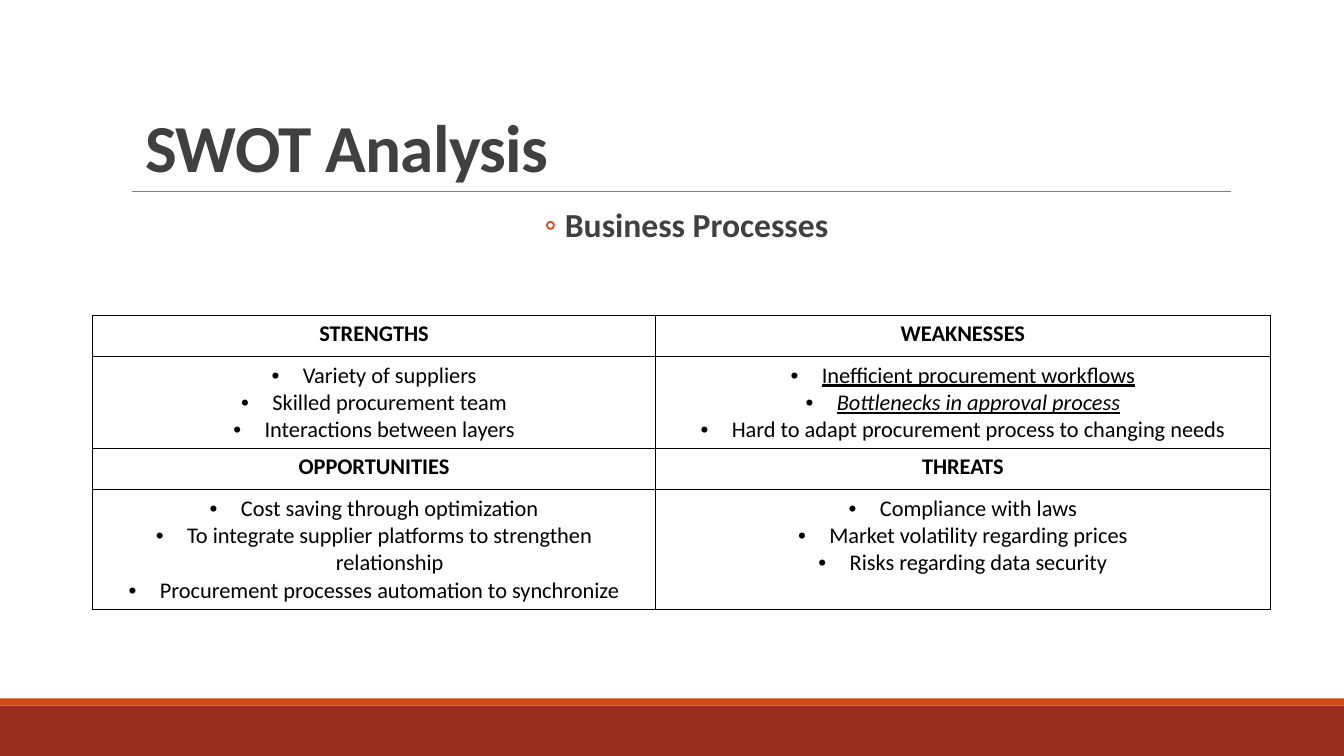
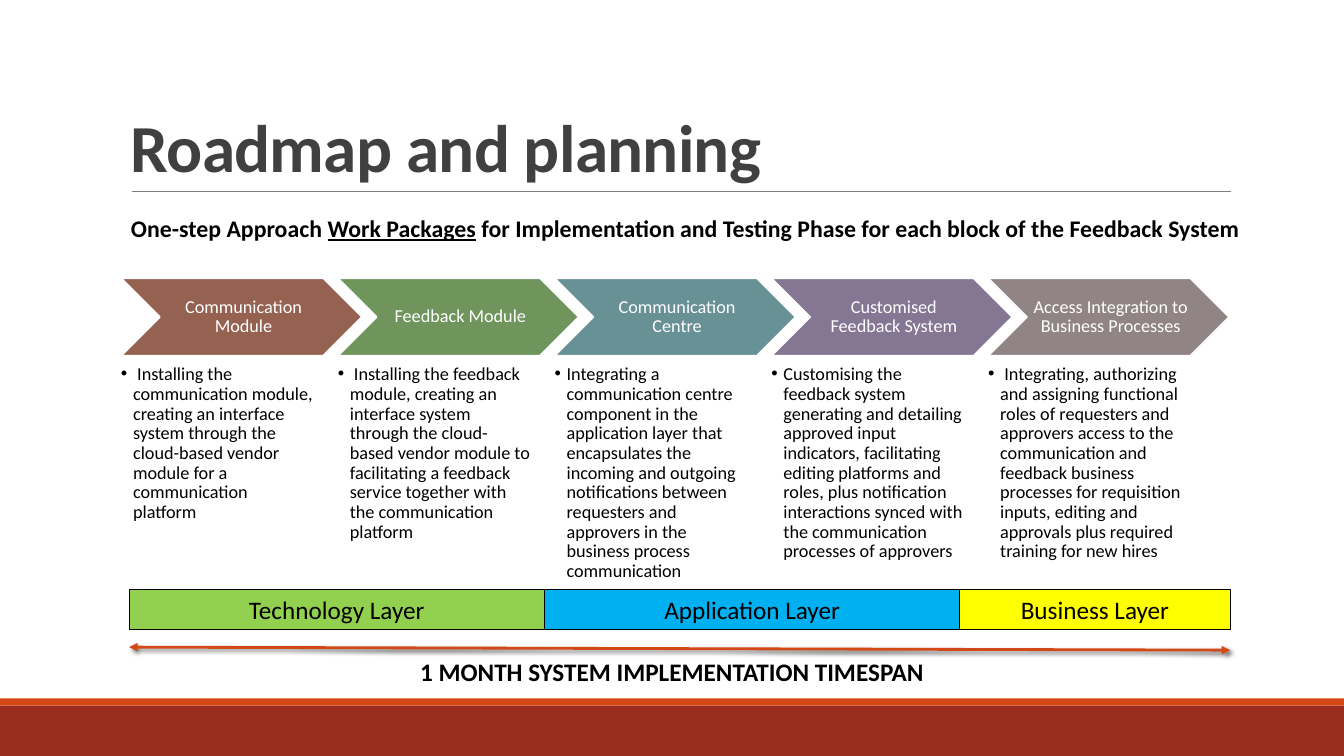
import itertools

import lxml.etree
import pptx
import pptx.dml.color
import pptx.enum.shapes
import pptx.enum.text
import pptx.oxml
import pptx.oxml.ns
import pptx.util

Inches = pptx.util.Inches
Pt = pptx.util.Pt
SHAPES = pptx.enum.shapes.MSO_SHAPE
STRAIGHT = pptx.enum.shapes.MSO_CONNECTOR.STRAIGHT
CENTER = pptx.enum.text.PP_ALIGN.CENTER
ANCHOR = pptx.enum.text.MSO_ANCHOR

# Shared look
FONT = "Calibri"
BLACK, WHITE, GREY = "000000", "FFFFFF", "404040"
ORANGE, BRICK, RULE = "D34817", "9B2D1F", "808080"
SLIDE_WIDTH, SLIDE_HEIGHT = 13.33, 7.5
BANDS = [(7, 0.5, BRICK), (6.93, 0.07, ORANGE)]

# Content of the SWOT slide
SWOT_TITLE = " SWOT Analysis"
SWOT_SUBTITLE = "Business Processes"
SWOT = [
    [("STRENGTHS", ["Variety of suppliers", "Skilled procurement team",
                    "Interactions between layers"]),
     ("WEAKNESSES", ["Inefficient procurement workflows", "Bottlenecks in approval process",
                     "Hard to adapt procurement process to changing needs"])],
    [("OPPORTUNITIES", ["Cost saving through optimization",
                        "To integrate supplier platforms to strengthen relationship",
                        "Procurement processes automation to synchronize"]),
     ("THREATS", ["Compliance with laws", "Market volatility regarding prices",
                  "Risks regarding data security"])],
]
EMPHASIS = {
    "Inefficient procurement workflows": {"underline": True},
    "Bottlenecks in approval process": {"underline": True, "italic": True},
}
COLUMN_WIDTHS = [5.58, 6.1]
ROW_HEIGHTS = [0.41, 0.91, 0.41, 1.19]

# Content of the roadmap slide
ROADMAP_TITLE = "Roadmap and planning"
ROADMAP_HEADING = [
    ("One-step Approach ", {}),
    ("Work Packages", {"underline": True}),
    (" for Implementation and Testing Phase for each block of the Feedback System", {}),
]
PACKAGES = [
    ("Communication Module", "956251",
     " Installing the communication module, creating an interface system through the "
     "cloud-based vendor module for a communication platform"),
    ("Feedback Module", "6F955C",
     " Installing the feedback module, creating an interface system through the "
     "cloud-based vendor module to facilitating a feedback service together with the "
     "communication platform"),
    ("Communication Centre", "689195",
     "Integrating a communication centre component in the application layer that "
     "encapsulates the incoming and outgoing notifications between requesters and "
     "approvers in the business process communication"),
    ("Customised Feedback System", "857693",
     "Customising the feedback system generating and detailing approved input "
     "indicators, facilitating editing platforms and roles, plus notification "
     "interactions synced with the communication processes of approvers"),
    ("Access Integration to Business Processes", "918485",
     " Integrating, authorizing and assigning functional roles of requesters and "
     "approvers access to the communication and feedback business processes for "
     "requisition inputs, editing and approvals plus required training for new hires"),
]
PACKAGE_LEFT, PACKAGE_PITCH = 1.2, 2.15
LAYERS = [("Technology Layer", 4.12, "92D050"), ("Application Layer", 4.12, "00B0F0"),
          ("Business Layer", 2.68, "FFFF00")]
LAYER_LEFT = 1.28
TIMESPAN = "1 MONTH SYSTEM IMPLEMENTATION TIMESPAN"


def color(value):
    return pptx.dml.color.RGBColor.from_string(value)


def set_all(target, values):
    for name, value in values.items():
        setattr(target, name, value)


def add_xml(parent, tag, **attributes):
    child = lxml.etree.SubElement(parent, pptx.oxml.ns.qn(tag))
    for name, value in attributes.items():
        child.set(name, str(value))
    return child


def write(frame, paragraphs, size, ink=BLACK, bold=False, layout=None, bullet=None):
    """Fill a frame; each paragraph is a string or a list of (text, format) runs."""
    frame.word_wrap = True
    for index, runs in enumerate(paragraphs):
        paragraph = frame.add_paragraph() if index else frame.paragraphs[0]
        set_all(paragraph, layout or {})
        if bullet:
            add_bullet(paragraph, **bullet)
        for text, extra in ([(runs, {})] if isinstance(runs, str) else runs):
            run = paragraph.add_run()
            run.text = text
            set_all(run.font, {"name": FONT, "size": Pt(size), "bold": bold, **extra})
            run.font.color.rgb = color(ink)


def add_bullet(paragraph, symbol, margin, indent, ink=BLACK):
    properties = paragraph._p.get_or_add_pPr()
    properties.set("marL", str(Inches(margin)))
    properties.set("indent", str(Inches(indent)))
    add_xml(add_xml(properties, "a:buClr"), "a:srgbClr", val=ink)
    add_xml(properties, "a:buFont", typeface="Arial" if symbol == "•" else FONT)
    add_xml(properties, "a:buChar", char=symbol)


def set_margins(frame, left, top, right, bottom):
    set_all(frame, {"margin_left": Inches(left), "margin_top": Inches(top),
                    "margin_right": Inches(right), "margin_bottom": Inches(bottom)})


def add_box(slide, area):
    return slide.shapes.add_textbox(*map(Inches, area)).text_frame


def add_block(slide, kind, area, fill, line=None, width=0.75):
    shape = slide.shapes.add_shape(kind, *map(Inches, area))
    shape.shadow.inherit = False
    shape.fill.solid()
    shape.fill.fore_color.rgb = color(fill)
    if line:
        shape.line.color.rgb = color(line)
        shape.line.width = Pt(width)
    else:
        shape.line.fill.background()
    shape.text_frame.vertical_anchor = ANCHOR.MIDDLE
    return shape


def add_line(slide, start, end, ink, width):
    """Draw a straight line and return its parts for ends and effects."""
    connector = slide.shapes.add_connector(STRAIGHT, *map(Inches, start + end))
    connector.line.color.rgb = color(ink)
    connector.line.width = Pt(width)
    properties = connector._element.spPr
    return properties.find(pptx.oxml.ns.qn("a:ln")), add_xml(properties, "a:effectLst")


def add_base(presentation, title):
    """Start a slide with the footer bands, the rule and the title."""
    slide = presentation.slides.add_slide(presentation.slide_layouts[6])
    for top, height, fill in BANDS:
        add_block(slide, SHAPES.RECTANGLE, (0, top, SLIDE_WIDTH, height), fill)
    add_line(slide, (1.31, 1.9), (12.21, 1.9), RULE, 0.5)
    frame = add_box(slide, (1.2, 0.31, 11, 1.59))
    frame.vertical_anchor = ANCHOR.BOTTOM
    write(frame, [title], 48, GREY, True, {"line_spacing": 0.85})
    frame.paragraphs[0].runs[0]._r.get_or_add_rPr().set("spc", "-50")
    return slide


def outline_cell(cell):
    properties = cell._tc.get_or_add_tcPr()
    for position, side in enumerate(("a:lnL", "a:lnR", "a:lnT", "a:lnB")):
        border = pptx.oxml.parse_xml(
            f'<{side} {pptx.oxml.ns.nsdecls("a")} w="{Pt(1)}"><a:solidFill>'
            f'<a:srgbClr val="{BLACK}"/></a:solidFill></{side}>')
        properties.insert(position, border)


def build_swot(presentation):
    slide = add_base(presentation, SWOT_TITLE)
    write(add_box(slide, (1.2, 2.02, 11, 0.6)), [SWOT_SUBTITLE], 24, GREY, True,
          {"alignment": CENTER, "line_spacing": 0.9, "space_before": Pt(2),
           "space_after": Pt(4)},
          {"symbol": "◦", "margin": 0.42, "indent": -0.2, "ink": ORANGE})

    # Table: a heading row above a list row for each pair
    area = (0.92, 3.13, sum(COLUMN_WIDTHS), sum(ROW_HEIGHTS))
    table = slide.shapes.add_table(len(ROW_HEIGHTS), len(COLUMN_WIDTHS),
                                   *map(Inches, area)).table
    set_all(table, {"first_row": False, "horz_banding": False})
    for column, width in zip(table.columns, COLUMN_WIDTHS):
        column.width = Inches(width)
    for row, height in zip(table.rows, ROW_HEIGHTS):
        row.height = Inches(height)
    for cell in table.iter_cells():
        cell.fill.background()
        outline_cell(cell)
    centered = {"alignment": CENTER}
    for pair, quadrants in enumerate(SWOT):
        for column, (heading, points) in enumerate(quadrants):
            write(table.cell(2 * pair, column).text_frame, [heading], 16, bold=True,
                  layout=centered)
            write(table.cell(2 * pair + 1, column).text_frame,
                  [[(point, EMPHASIS.get(point, {}))] for point in points], 16,
                  layout=centered,
                  bullet={"symbol": "•", "margin": 0.31, "indent": -0.31})


def build_roadmap(presentation):
    slide = add_base(presentation, ROADMAP_TITLE)
    write(add_box(slide, (1.2, 2.07, 11.28, 0.39)), [ROADMAP_HEADING], 17, bold=True)

    # Work packages: a chevron above its description
    for index, (name, fill, description) in enumerate(PACKAGES):
        left = PACKAGE_LEFT + index * PACKAGE_PITCH
        chevron = add_block(slide, SHAPES.CHEVRON, (left, 2.76, 2.39, 0.77), fill, WHITE, 1.25)
        set_margins(chevron.text_frame, 0.06, 0.02, 0.02, 0.02)
        write(chevron.text_frame, [name], 13, WHITE,
              layout={"alignment": CENTER, "line_spacing": 0.9})
        frame = add_box(slide, (left, 3.62, 1.91, 2.19))
        set_margins(frame, 0, 0, 0, 0)
        write(frame, [description], 13, layout={"line_spacing": 0.9},
              bullet={"symbol": "•", "margin": 0.12, "indent": -0.12})

    # Layer bar
    offsets = itertools.accumulate((width for _, width, _ in LAYERS), initial=LAYER_LEFT)
    for left, (name, width, fill) in zip(offsets, LAYERS):
        layer = add_block(slide, SHAPES.RECTANGLE, (left, 5.85, width, 0.4), fill, BLACK)
        write(layer.text_frame, [name], 18, layout={"alignment": CENTER})

    # Timespan arrow with a soft shadow, and its caption
    line, effects = add_line(slide, (LAYER_LEFT, 6.42), (12.2, 6.45), ORANGE, 2)
    for end in ("a:headEnd", "a:tailEnd"):
        add_xml(line, end, type="triangle")
    shadow = add_xml(effects, "a:outerShdw", blurRad=Pt(3), dist=Pt(2), dir=45 * 60000,
                     rotWithShape=0)
    add_xml(add_xml(shadow, "a:srgbClr", val=BLACK), "a:alpha", val=60000)
    write(add_box(slide, (1.26, 6.46, 10.81, 0.4)), [TIMESPAN], 18, bold=True,
          layout={"alignment": CENTER})


def main():
    presentation = pptx.Presentation()
    presentation.slide_width = Inches(SLIDE_WIDTH)
    presentation.slide_height = Inches(SLIDE_HEIGHT)
    build_swot(presentation)
    build_roadmap(presentation)
    presentation.save("out.pptx")


if __name__ == "__main__":
    main()
